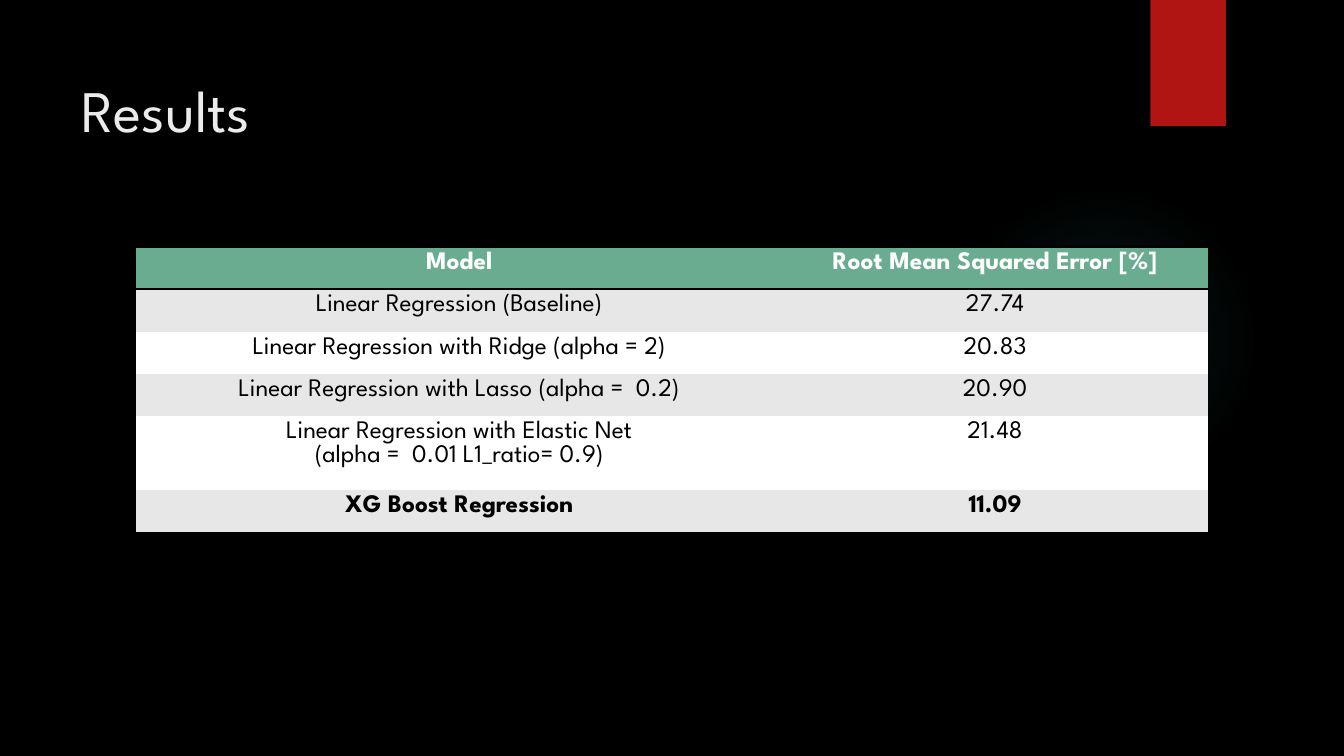
from dataclasses import dataclass

from lxml.etree import SubElement
from pptx import Presentation
from pptx.dml.color import RGBColor
from pptx.enum.shapes import MSO_SHAPE
from pptx.enum.text import MSO_ANCHOR, MSO_AUTO_SIZE, PP_ALIGN
from pptx.oxml import parse_xml
from pptx.oxml.ns import nsdecls, qn
from pptx.util import Emu, Pt

EMU_PER_PX = 9144
PLAIN_TABLE_STYLE = "{2D5ABB26-0587-4C30-8999-92F81FD0307C}"


@dataclass(frozen=True)
class Theme:
    font: str = "League Spartan"
    background: str = "000000"
    title: str = "EBEBEB"
    ribbon: str = "B01513"
    glow: str = "50B9C1"
    header: str = "6AAC90"
    header_text: str = "FFFFFF"
    body_text: str = "000000"
    band: str = "E7E7E7"
    plain: str = "FFFFFF"
    rule: str = "000000"
    title_size: int = 42
    table_size: int = 18
    rule_width: int = 2


@dataclass(frozen=True)
class Box:
    left: int
    top: int
    width: int
    height: int

    def emu(self) -> tuple[Emu, ...]:
        return tuple(px(side) for side in (self.left, self.top, self.width, self.height))


@dataclass(frozen=True)
class ResultRow:
    model: str
    error: str
    height: int = 42
    bold: bool = False
    rules: tuple[str, ...] = ()


THEME = Theme()
TITLE_BOX = Box(71, 50, 1029, 153)
RIBBON_BOX = Box(1141, 0, 75, 125)
GLOW_BOX = Box(941, 183, 308, 308)
TABLE_BOX = Box(135, 245, 1063, 286)
COLUMN_WIDTHS = (641, 422)
GLOW_STOPS = ((0, 7), (36, 6), (69, 0))
RESULTS = (
    ResultRow("Model", "Root Mean Squared Error [%]", bold=True, rules=("lnT", "lnB")),
    ResultRow("Linear Regression (Baseline)", "27.74"),
    ResultRow("Linear Regression with Ridge (alpha = 2)", "20.83"),
    ResultRow("Linear Regression with Lasso (alpha =  0.2)", "20.90"),
    ResultRow("Linear Regression with Elastic Net\n(alpha =  0.01 L1_ratio= 0.9)", "21.48", height=73),
    ResultRow("XG Boost Regression", "11.09", height=43, bold=True, rules=("lnB",)),
)


def px(length: int) -> Emu:
    return Emu(length * EMU_PER_PX)


def write(frame, text: str, *, size: int, color: str, bold: bool = False,
          align: PP_ALIGN = PP_ALIGN.LEFT) -> None:
    frame.text = text
    for paragraph in frame.paragraphs:
        paragraph.alignment = align
        paragraph.font.name = THEME.font
        paragraph.font.size = Pt(size)
        paragraph.font.bold = bold
        paragraph.font.color.rgb = RGBColor.from_string(color)


def add_block(slide, preset: MSO_SHAPE, box: Box, color: str):
    block = slide.shapes.add_shape(preset, *box.emu())
    block.shadow.inherit = False
    block.line.fill.background()
    block.fill.solid()
    block.fill.fore_color.rgb = RGBColor.from_string(color)
    return block


def add_glow(slide) -> None:
    glow = add_block(slide, MSO_SHAPE.OVAL, GLOW_BOX, THEME.glow)
    stops = "".join(
        f'<a:gs pos="{position * 1000}"><a:srgbClr val="{THEME.glow}">'
        f'<a:alpha val="{opacity * 1000}"/></a:srgbClr></a:gs>'
        for position, opacity in GLOW_STOPS
    )
    gradient = parse_xml(
        f'<a:gradFill {nsdecls("a")}><a:gsLst>{stops}</a:gsLst><a:path path="circle">'
        '<a:fillToRect l="50000" t="50000" r="50000" b="50000"/></a:path></a:gradFill>'
    )
    properties = glow.element.spPr
    properties.replace(properties.find(qn("a:solidFill")), gradient)


def add_title(slide, text: str) -> None:
    title = slide.shapes.title
    title.left, title.top, title.width, title.height = TITLE_BOX.emu()
    frame = title.text_frame
    frame.auto_size = MSO_AUTO_SIZE.NONE
    frame.vertical_anchor = MSO_ANCHOR.TOP
    frame.margin_top = px(23)
    write(frame, text, size=THEME.title_size, color=THEME.title)


def draw_rules(cell, edges: tuple[str, ...]) -> None:
    properties = cell._tc.get_or_add_tcPr()
    for position, edge in enumerate(edges):
        rule = SubElement(properties, qn(f"a:{edge}"), w=str(Pt(THEME.rule_width)))
        fill = SubElement(rule, qn("a:solidFill"))
        SubElement(fill, qn("a:srgbClr"), val=THEME.rule)
        properties.insert(position, rule)


def add_results(slide) -> None:
    table = slide.shapes.add_table(len(RESULTS), len(COLUMN_WIDTHS), *TABLE_BOX.emu()).table
    table._tbl.tblPr.find(qn("a:tableStyleId")).text = PLAIN_TABLE_STYLE
    for column, width in zip(table.columns, COLUMN_WIDTHS):
        column.width = px(width)
    for index, result in enumerate(RESULTS):
        table.rows[index].height = px(result.height)
        is_header = index == 0
        band = THEME.band if index % 2 else THEME.plain
        for cell, text in zip(table.rows[index].cells, (result.model, result.error)):
            cell.fill.solid()
            cell.fill.fore_color.rgb = RGBColor.from_string(THEME.header if is_header else band)
            write(cell.text_frame, text, size=THEME.table_size, bold=result.bold,
                  color=THEME.header_text if is_header else THEME.body_text,
                  align=PP_ALIGN.CENTER)
            draw_rules(cell, result.rules)


def main() -> None:
    presentation = Presentation()
    presentation.slide_width, presentation.slide_height = px(1333), px(750)
    slide = presentation.slides.add_slide(presentation.slide_layouts[5])
    slide.background.fill.solid()
    slide.background.fill.fore_color.rgb = RGBColor.from_string(THEME.background)
    add_glow(slide)
    add_block(slide, MSO_SHAPE.RECTANGLE, RIBBON_BOX, THEME.ribbon)
    add_title(slide, "Results")
    add_results(slide)
    presentation.save("out.pptx")


if __name__ == "__main__":
    main()
